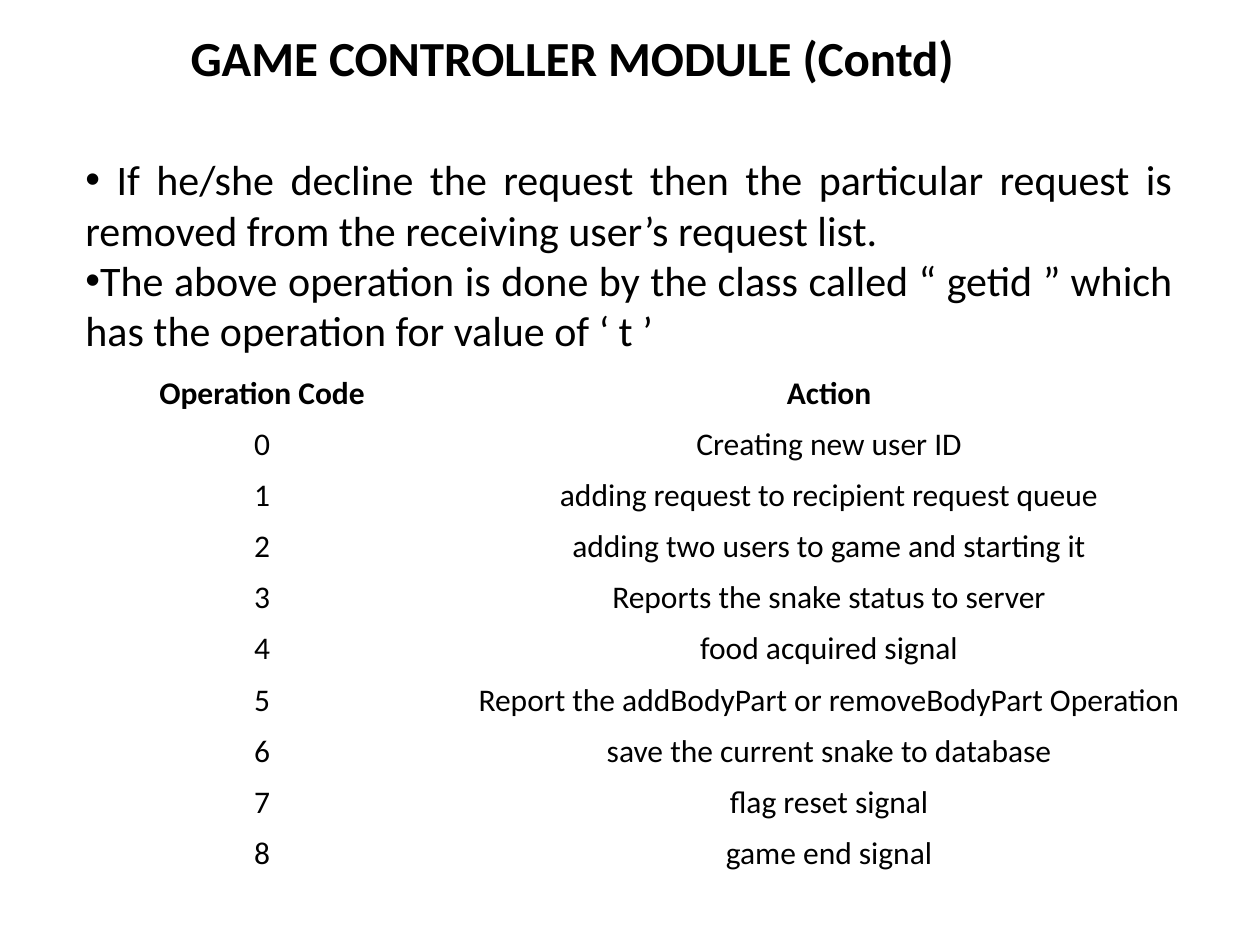
from dataclasses import dataclass

from lxml.etree import SubElement
from pptx import Presentation
from pptx.dml.color import RGBColor
from pptx.enum.text import MSO_AUTO_SIZE, PP_ALIGN
from pptx.oxml.ns import qn
from pptx.util import Inches, Pt


@dataclass
class Theme:
    font: str = "Calibri"
    ink: RGBColor = RGBColor(0, 0, 0)
    head: int = 28
    body: int = 24
    cell: int = 18


theme = Theme()


def write(para, text, size, align, bold=False):
    """Fill one paragraph with styled text."""
    para.alignment = align
    run = para.add_run()
    run.text = text
    form = {"name": theme.font, "size": Pt(size), "bold": bold}
    for key, value in form.items():
        setattr(run.font, key, value)
    run.font.color.rgb = theme.ink


def add_box(slide, left, top, width, height):
    """Add a wrapping text box and return its frame."""
    box = slide.shapes.add_textbox(Inches(left), Inches(top), Inches(width), Inches(height))
    frame = box.text_frame
    form = {"word_wrap": True, "auto_size": MSO_AUTO_SIZE.NONE}
    for key, value in form.items():
        setattr(frame, key, value)
    return frame


# Slide
deck = Presentation()
deck.slide_width, deck.slide_height = Inches(10), Inches(7.5)
slide = deck.slides.add_slide(deck.slide_layouts[6])

# Title
title = add_box(slide, 0.75, 0.17, 7.58, 1.04)
write(title.paragraphs[0], "GAME CONTROLLER MODULE (Contd)", theme.head, PP_ALIGN.CENTER, True)

# Bullet points
points = [
    " If he/she decline the request then the particular request is removed "
    "from the receiving user’s request list.",
    "The above operation is done by the class called “ getid ” which has "
    "the operation for value of ‘ t ’",
]
body = add_box(slide, 0.58, 1.17, 8.83, 2.12)
for i, point in enumerate(points):
    para = body.add_paragraph() if i else body.paragraphs[0]
    write(para, point, theme.body, PP_ALIGN.JUSTIFY)
    props = para._p.get_or_add_pPr()
    SubElement(props, qn("a:buFont"), typeface="Arial")
    SubElement(props, qn("a:buChar"), char="•")

# Operation table: codes count up from 0
actions = [
    "Creating new user ID",
    "adding request to recipient request queue",
    "adding two users to game and starting it",
    "Reports the snake status to server",
    "food acquired signal",
    "Report the addBodyPart or removeBodyPart Operation",
    "save the current snake to database",
    "flag reset signal",
    "game end signal",
]
rows = [("Operation Code", "Action")]
rows += [(str(code), action) for code, action in enumerate(actions)]
table = slide.shapes.add_table(
    len(rows), 2, Inches(0.58), Inches(2.92), Inches(9), Inches(4.06)
).table
for key, value in {"first_row": False, "horz_banding": False}.items():
    setattr(table, key, value)
for col, width in zip(table.columns, (3, 6)):
    col.width = Inches(width)
for r, row in enumerate(rows):
    for c, text in enumerate(row):
        cell = table.cell(r, c)
        cell.fill.background()
        write(cell.text_frame.paragraphs[0], text, theme.cell, PP_ALIGN.CENTER, r == 0)

deck.save("out.pptx")
